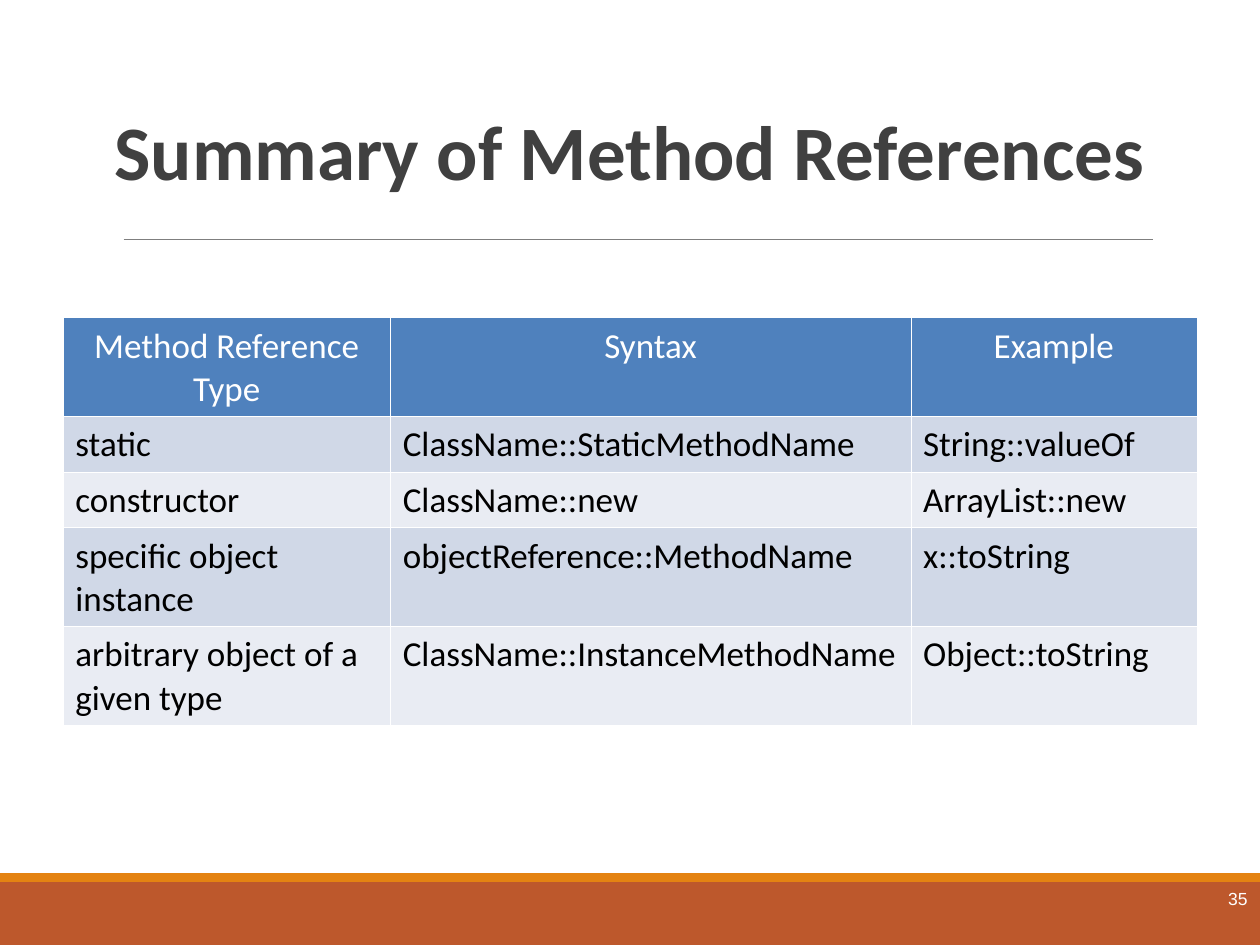
from lxml import etree
from pptx import Presentation
from pptx.dml.color import RGBColor
from pptx.enum.shapes import MSO_CONNECTOR, MSO_SHAPE
from pptx.enum.text import MSO_ANCHOR, PP_ALIGN
from pptx.oxml.ns import qn
from pptx.util import Cm, Pt

LEFT, CENTER, RIGHT = PP_ALIGN.LEFT, PP_ALIGN.CENTER, PP_ALIGN.RIGHT
MIDDLE, BOTTOM = MSO_ANCHOR.MIDDLE, MSO_ANCHOR.BOTTOM
RECTANGLE = MSO_SHAPE.RECTANGLE
STRAIGHT = MSO_CONNECTOR.STRAIGHT

COLORS = {
    "white": "FFFFFF",
    "black": "000000",
    "title": "404040",
    "rule": "7F7F7F",
    "footer": "BD582C",
    "accent": "E48312",
    "header": "4F81BD",
    "odd": "D0D8E7",
    "even": "E9ECF3",
}

REFERENCES = [
    ("Method Reference Type", "Syntax", "Example"),
    ("static", "ClassName::StaticMethodName", "String::valueOf"),
    ("constructor", "ClassName::new", "ArrayList::new"),
    ("specific object instance", "objectReference::MethodName", "x::toString"),
    ("arbitrary object of a given type", "ClassName::InstanceMethodName", "Object::toString"),
]
COLUMN_WIDTHS = (6.6, 10.49, 5.77)
ROW_HEIGHTS = (1.98, 1.12, 1.12, 1.98, 1.98)


class SlideBuilder:
    def __init__(self, slide, font="Calibri"):
        self.slide = slide
        self.font = font

    def color(self, name):
        return RGBColor.from_string(COLORS[name])

    def fill_text(self, frame, text, size, color, align=LEFT, bold=False, font=None, spacing=1.0):
        paragraph = frame.paragraphs[0]
        paragraph.text = text
        paragraph.alignment = align
        paragraph.line_spacing = spacing
        paragraph.font.name = font or self.font
        paragraph.font.size = Pt(size)
        paragraph.font.bold = bold
        paragraph.font.color.rgb = self.color(color)

    def band(self, left, top, width, height, color):
        band = self.slide.shapes.add_shape(RECTANGLE, Cm(left), Cm(top), Cm(width), Cm(height))
        band.shadow.inherit = False
        band.fill.solid()
        band.fill.fore_color.rgb = self.color(color)
        band.line.fill.background()

    def rule(self, left, right, y, color, weight):
        rule = self.slide.shapes.add_connector(STRAIGHT, Cm(left), Cm(y), Cm(right), Cm(y))
        rule.line.color.rgb = self.color(color)
        rule.line.width = Pt(weight)
        etree.SubElement(rule._element.spPr, qn("a:effectLst"))

    def text(self, left, top, width, height, text, size, color, anchor, inset=(0, 0), **style):
        box = self.slide.shapes.add_textbox(Cm(left), Cm(top), Cm(width), Cm(height))
        frame = box.text_frame
        frame.word_wrap = True
        frame.vertical_anchor = anchor
        frame.margin_left = frame.margin_right = Cm(inset[0])
        frame.margin_top = frame.margin_bottom = Cm(inset[1])
        self.fill_text(frame, text, size, color, **style)

    def border(self, cell, color, weight):
        properties = cell._tc.get_or_add_tcPr()
        for index, side in enumerate(("a:lnL", "a:lnR", "a:lnT", "a:lnB")):
            edge = etree.Element(qn(side), w=str(Pt(weight)))
            fill = etree.SubElement(edge, qn("a:solidFill"))
            etree.SubElement(fill, qn("a:srgbClr"), val=COLORS[color])
            properties.insert(index, edge)

    def table(self, left, top, rows, widths, heights, size):
        table = self.slide.shapes.add_table(
            len(rows), len(widths), Cm(left), Cm(top), Cm(sum(widths)), Cm(sum(heights))
        ).table
        for column, width in zip(table.columns, widths):
            column.width = Cm(width)
        for number, (row, height, entries) in enumerate(zip(table.rows, heights, rows)):
            row.height = Cm(height)
            if number == 0:
                fill, ink, align = "header", "white", CENTER
            else:
                fill, ink, align = "odd" if number % 2 else "even", "black", LEFT
            for cell, entry in zip(row.cells, entries):
                cell.fill.solid()
                cell.fill.fore_color.rgb = self.color(fill)
                cell.margin_left = cell.margin_right = Cm(0.25)
                cell.margin_top = cell.margin_bottom = Cm(0.13)
                self.border(cell, "white", 0.11)
                self.fill_text(cell.text_frame, entry, size, ink, align, spacing=1.02)


def main():
    deck = Presentation()
    deck.slide_width, deck.slide_height = Cm(25.4), Cm(19.05)
    builder = SlideBuilder(deck.slides.add_slide(deck.slide_layouts[6]))
    builder.band(0, 17.78, 25.4, 1.27, "footer")
    builder.band(0, 17.6, 25.4, 0.18, "accent")
    builder.rule(2.49, 23.24, 4.83, "rule", 0.5)
    builder.text(1.27, 0.76, 22.86, 3.18, "Summary of Method References", 44, "title",
                 BOTTOM, align=CENTER, bold=True)
    builder.text(19.48, 17.65, 5.92, 0.99, "35", 10, "white", MIDDLE, inset=(0.25, 0.13),
                 align=RIGHT, font="Arial", spacing=0.93)
    builder.table(1.27, 6.4, REFERENCES, COLUMN_WIDTHS, ROW_HEIGHTS, 20)
    deck.save("out.pptx")


if __name__ == "__main__":
    main()
